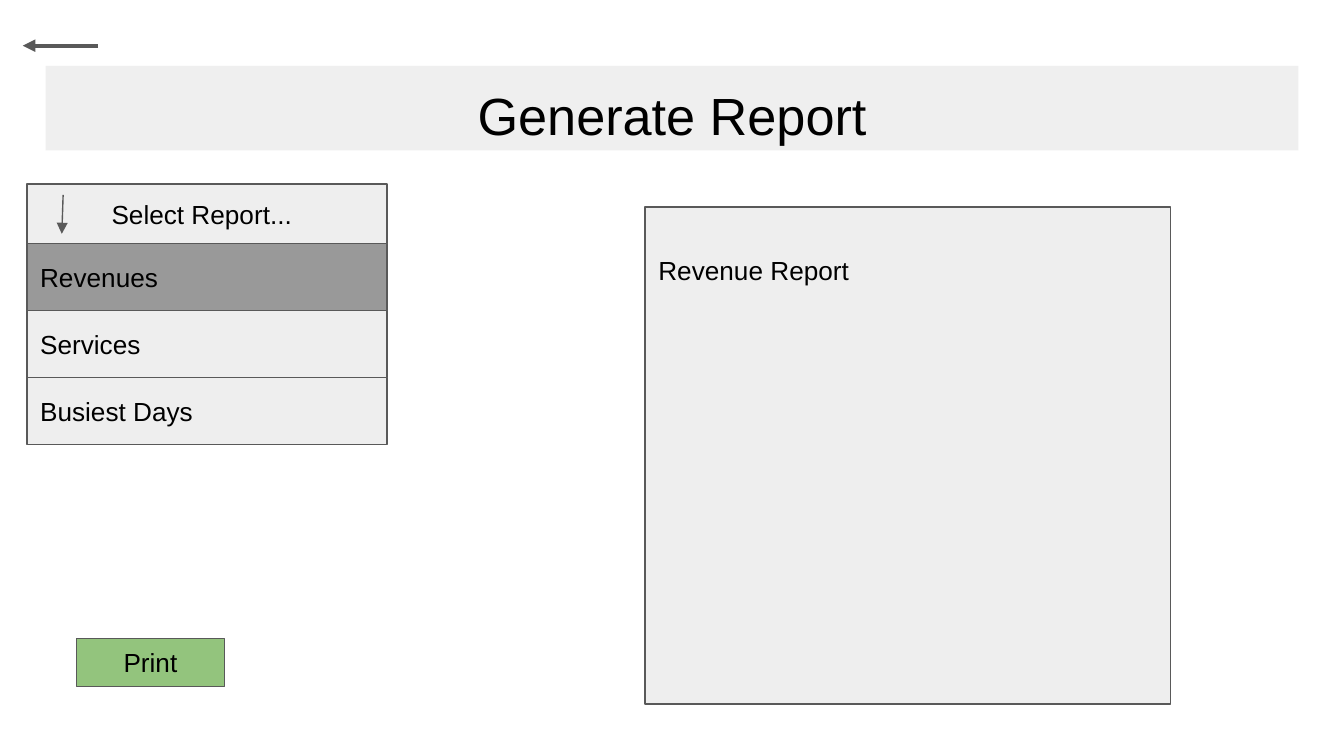
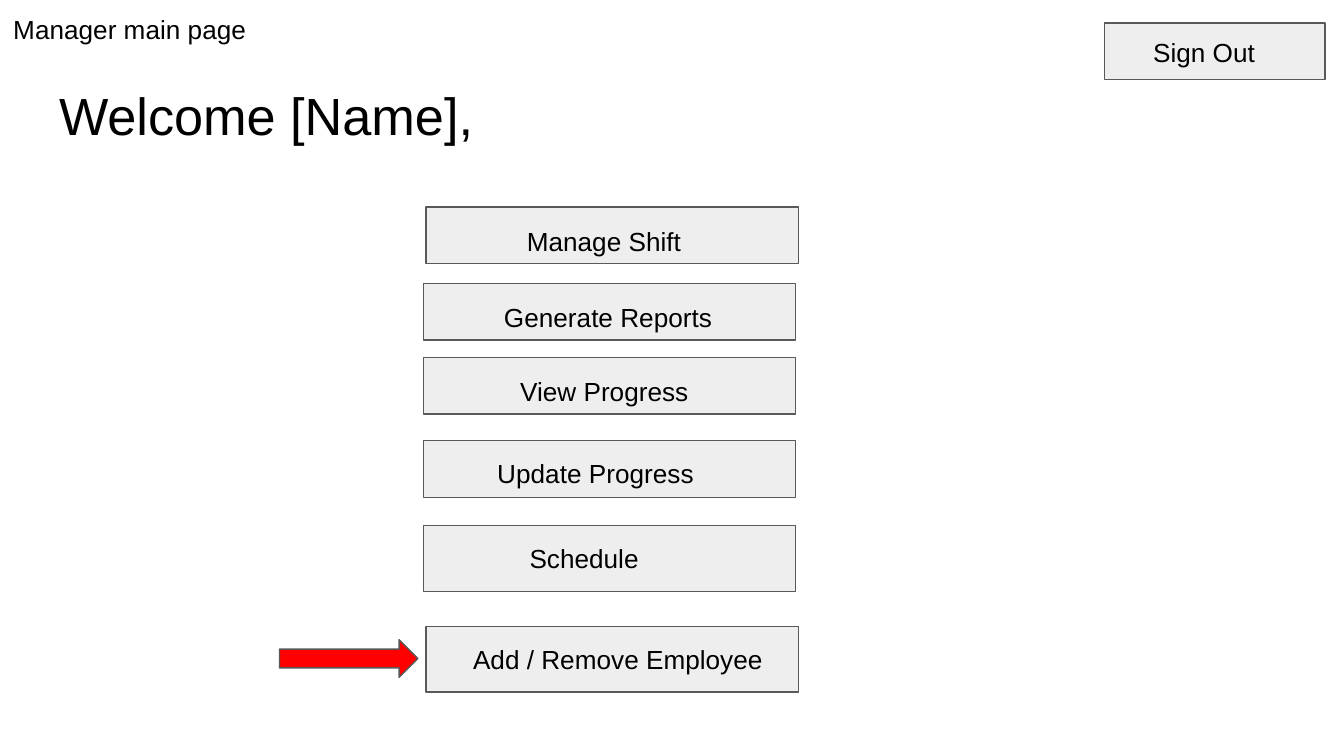
import collections

import pptx
import pptx.dml.color
import pptx.enum.shapes
import pptx.enum.text
import pptx.oxml
import pptx.oxml.ns
import pptx.util

RGBColor = pptx.dml.color.RGBColor
MSO_SHAPE = pptx.enum.shapes.MSO_SHAPE
ANCHOR = pptx.enum.text.MSO_ANCHOR
ALIGN = pptx.enum.text.PP_ALIGN

BLACK = RGBColor(0x00, 0x00, 0x00)
BAND = RGBColor(0xEF, 0xEF, 0xEF)
PANEL = RGBColor(0xEE, 0xEE, 0xEE)
OUTLINE = RGBColor(0x59, 0x59, 0x59)
SELECTED = RGBColor(0x99, 0x99, 0x99)
GREEN = RGBColor(0x93, 0xC4, 0x7D)
RED = RGBColor(0xFF, 0x00, 0x00)

FONT = "Arial"
TITLE_SIZE, TEXT_SIZE = 28, 14
WIDTH, HEIGHT = pptx.util.Inches(10), pptx.util.Inches(5.625)
COL, ROW = WIDTH / 100, HEIGHT / 56.25
MARGIN = 1

Box = collections.namedtuple("Box", "left top width height")
TITLE_BOX = Box(3.4, 4.9, 93.2, 6.3)


def cols(count):
    return pptx.util.Emu(round(count * COL))


def rows(count):
    return pptx.util.Emu(round(count * ROW))


def place(box):
    return cols(box.left), rows(box.top), cols(box.width), rows(box.height)


def write(shape, text, size=TEXT_SIZE, align=ALIGN.LEFT, anchor=ANCHOR.MIDDLE,
          left=MARGIN, top=MARGIN, bottom=MARGIN):
    frame = shape.text_frame
    frame.word_wrap = True
    frame.auto_size = pptx.enum.text.MSO_AUTO_SIZE.NONE
    frame.vertical_anchor = anchor
    frame.margin_left, frame.margin_right = cols(left), cols(MARGIN)
    frame.margin_top, frame.margin_bottom = rows(top), rows(bottom)
    paragraph = frame.paragraphs[0]
    paragraph.alignment = align
    run = paragraph.add_run()
    run.text = text
    run.font.name = FONT
    run.font.size = pptx.util.Pt(size)
    run.font.color.rgb = BLACK


def add_panel(slide, box, fill=PANEL, outline=MSO_SHAPE.RECTANGLE):
    panel = slide.shapes.add_shape(outline, *place(box))
    panel.shadow.inherit = False
    panel.fill.solid()
    panel.fill.fore_color.rgb = fill
    panel.line.color.rgb = OUTLINE
    panel.line.width = pptx.util.Pt(0.75)
    return panel


def add_arrow(slide, start, end, weight):
    arrow = slide.shapes.add_connector(
        pptx.enum.shapes.MSO_CONNECTOR.STRAIGHT,
        cols(start[0]), rows(start[1]), cols(end[0]), rows(end[1]))
    arrow.line.width = pptx.util.Pt(weight)
    arrow.line.color.rgb = OUTLINE
    namespace = pptx.oxml.ns.nsdecls("a")
    properties = arrow._element.spPr
    properties.find(pptx.oxml.ns.qn("a:ln")).append(
        pptx.oxml.parse_xml(f'<a:tailEnd {namespace} type="triangle"/>'))
    properties.append(pptx.oxml.parse_xml(f"<a:effectLst {namespace}/>"))


def add_page(deck, heading, align, band=None):
    slide = deck.slides.add_slide(deck.slide_layouts[5])
    title = slide.shapes.title
    title.left, title.top, title.width, title.height = place(TITLE_BOX)
    write(title, heading, TITLE_SIZE, align, ANCHOR.TOP, top=1.3, bottom=0.5)
    if band is not None:
        title.fill.solid()
        title.fill.fore_color.rgb = band
    return slide


def add_report_menu(slide, box, prompt, reports, chosen):
    header_height = box.height * 0.227
    row_height = (box.height - header_height) / len(reports)
    header = add_panel(slide, box._replace(height=header_height))
    write(header, prompt, left=6.3)
    add_arrow(slide, (box.left + 2.7, box.top + 0.8),
              (box.left + 2.6, box.top + 3.7), 0.75)
    for index, report in enumerate(reports):
        top = box.top + header_height + index * row_height
        entry = add_panel(slide, box._replace(top=top, height=row_height),
                          SELECTED if report == chosen else PANEL)
        write(entry, report)


def add_report_preview(slide, box, heading):
    write(add_panel(slide, box), heading, anchor=ANCHOR.TOP, top=3.5)


def add_button_stack(slide, box, buttons):
    for label, shift, top, height, indent, drop in buttons:
        button = add_panel(slide, Box(box.left + shift, box.top + top, box.width, height))
        write(button, label, left=indent, top=MARGIN, bottom=MARGIN - drop)


def build_report_page(deck):
    slide = add_page(deck, "Generate Report", ALIGN.CENTER, BAND)
    add_arrow(slide, (7.3, 3.4), (1.7, 3.4), 2.25)
    add_report_menu(slide, Box(2, 13.7, 26.8, 19.4), "Select Report...",
                    ["Revenues", "Services", "Busiest Days"], "Revenues")
    add_report_preview(slide, Box(48, 15.4, 39.1, 37), "Revenue Report")
    write(add_panel(slide, Box(5.7, 47.5, 11, 3.6), GREEN), "Print", align=ALIGN.CENTER,
          top=0.5, bottom=0.5)


def build_manager_page(deck):
    slide = add_page(deck, "Welcome [Name],", ALIGN.LEFT)
    caption = slide.shapes.add_textbox(*place(Box(0, 0, 29.8, 2.3)))
    write(caption, "Manager main page", anchor=ANCHOR.TOP)
    write(add_panel(slide, Box(82.2, 1.7, 16.4, 4.2)), "Sign Out", left=3.6, bottom=0.8)
    add_button_stack(slide, Box(31.5, 15.4, 27.7, 36.1), [
        ("Manage Shift", 0.2, 0, 4.2, 7.5, 0.8),
        ("Generate Reports", 0, 5.7, 4.2, 6, 0.8),
        ("View Progress", 0, 11.2, 4.2, 7.2, 0.8),
        ("Update Progress", 0, 17.4, 4.2, 5.5, 0.6),
        ("Schedule", 0, 23.7, 4.9, 7.9, 0),
        ("Add / Remove Employee", 0.2, 31.2, 4.9, 3.5, 0),
    ])
    add_panel(slide, Box(20.8, 47.6, 10.3, 2.8), RED, MSO_SHAPE.RIGHT_ARROW)


def main():
    deck = pptx.Presentation()
    deck.slide_width, deck.slide_height = WIDTH, HEIGHT
    build_report_page(deck)
    build_manager_page(deck)
    deck.save("out.pptx")


if __name__ == "__main__":
    main()
